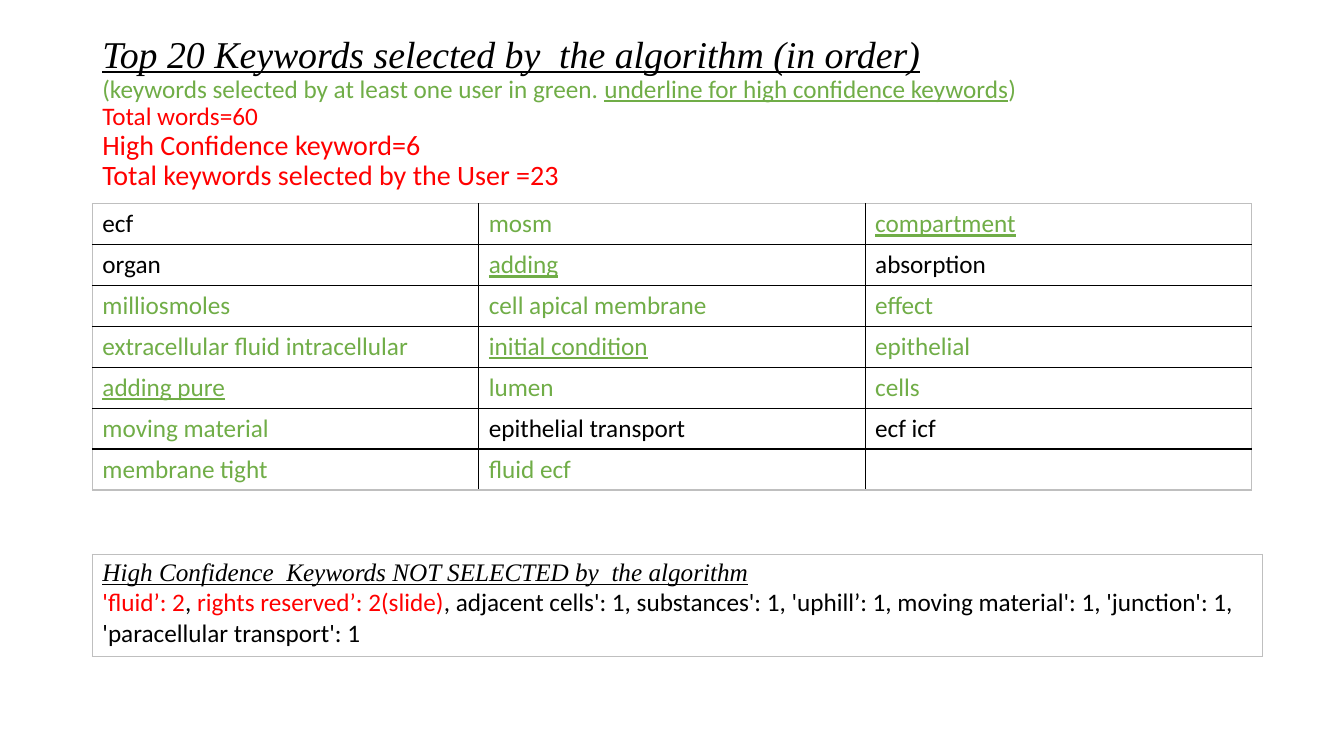
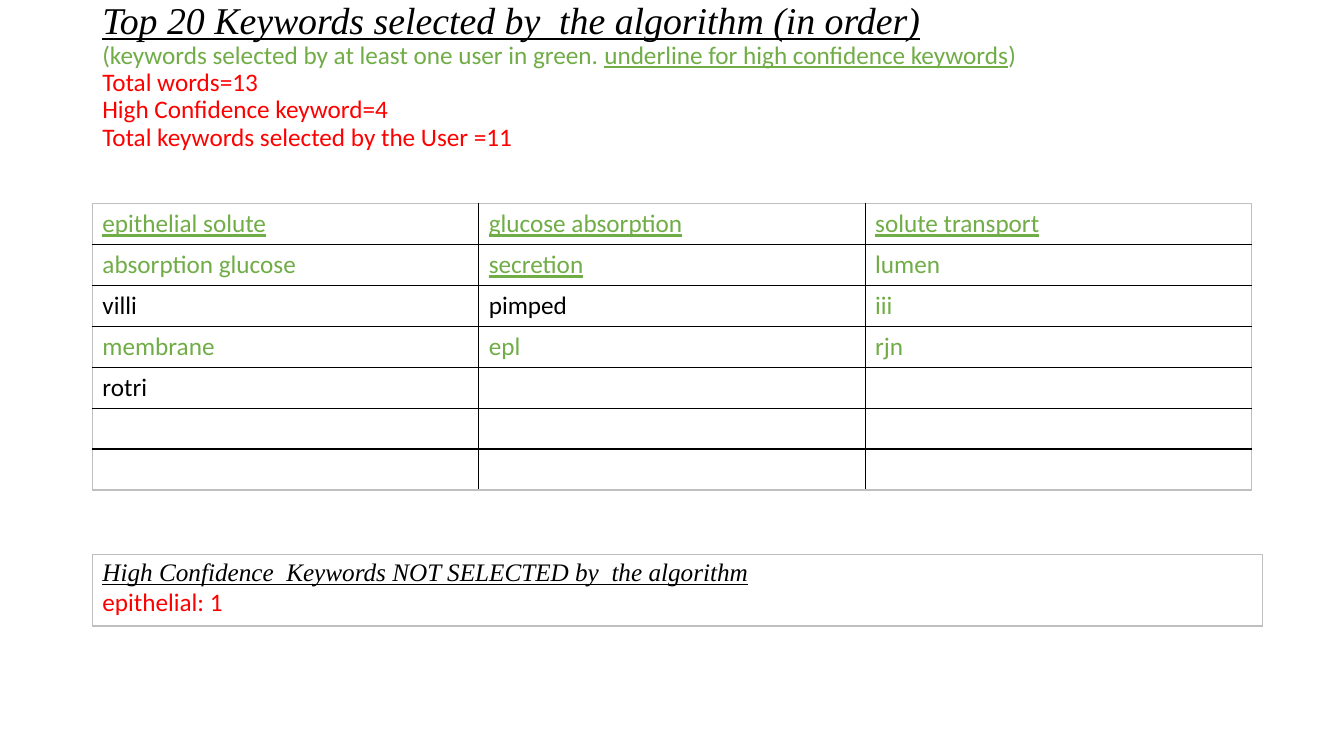
from pptx import Presentation
from pptx.dml.color import RGBColor
from pptx.enum.text import MSO_ANCHOR
from pptx.oxml.ns import qn
from pptx.util import Pt
from lxml import etree

MIDDLE = MSO_ANCHOR.MIDDLE

# Shared style
BLACK, GREEN, RED, GREY = "000000", "70AD47", "FF0000", "BFBFBF"
BODY, SERIF = "Calibri", "Times New Roman"
LEFT, GRID_TOP, NOTE_TOP = 66, 145.6, 396
GRID_W, NOTE_W, TITLE_H = 828, 836, 104.4
ROW_H, LINE_H = 29.2, 22
ROWS, COLS = 7, 3

# Shared wording
HEADING = "Top 20 Keywords selected by  the algorithm (in order)"
LEGEND = "(keywords selected by at least one user in green. "
LEGEND_HIGH = "underline for high confidence keywords"
NOTE_HEADING = "High Confidence  Keywords NOT SELECTED by  the algorithm"

# Keywords are green unless unselected, and underlined if high confidence
SLIDES = [
    dict(
        title_top=28.8,
        counts=[("Total words=60", 18), ("High Confidence keyword=6", 20),
                ("Total keywords selected by the User =23", 20)],
        keywords=["ecf", "mosm", "compartment",
                  "organ", "adding", "absorption",
                  "milliosmoles", "cell apical membrane", "effect",
                  "extracellular fluid intracellular", "initial condition", "epithelial",
                  "adding pure", "lumen", "cells",
                  "moving material", "epithelial transport", "ecf icf",
                  "membrane tight", "fluid ecf"],
        unselected={"ecf", "organ", "absorption", "epithelial transport", "ecf icf"},
        high={"compartment", "adding", "initial condition", "adding pure"},
        missed=[("'fluid’: 2", RED), (", ", BLACK), ("rights reserved’: 2(slide)", RED),
                (", adjacent cells': 1, substances': 1, 'uphill’: 1, moving material': 1, "
                 "'junction': 1, 'paracellular transport': 1", BLACK)],
        note_lines=3,
    ),
    dict(
        title_top=2.6,
        counts=[("Total words=13", 18), ("High Confidence keyword=4", 18),
                ("Total keywords selected by the User =11", 18)],
        keywords=["epithelial solute", "glucose absorption", "solute transport",
                  "absorption glucose", "secretion", "lumen",
                  "villi", "pimped", "iii",
                  "membrane", "epl", "rjn",
                  "rotri"],
        unselected={"villi", "pimped", "rotri"},
        high={"epithelial solute", "glucose absorption", "solute transport", "secretion"},
        missed=[("epithelial: 1", RED)],
        note_lines=2,
    ),
]


def rgb(color):
    return RGBColor.from_string(color)


def add_run(p, text, color=BLACK, size=18, underline=False):
    r = p.add_run()
    r.text = text
    r.font.name, r.font.size = BODY, Pt(size)
    r.font.color.rgb = rgb(color)
    r.font.underline = underline
    return r


def add_heading(p, text, size):
    r = add_run(p, text, size=size, underline=True)
    r.font.name, r.font.italic = SERIF, True


def add_title(s, top, counts):
    sp = s.shapes.add_textbox(Pt(LEFT), Pt(top), Pt(GRID_W), Pt(TITLE_H))
    tf = sp.text_frame
    tf.word_wrap, tf.vertical_anchor = True, MIDDLE
    add_heading(tf.paragraphs[0], HEADING, 27)
    p = tf.add_paragraph()
    add_run(p, LEGEND, GREEN)
    add_run(p, LEGEND_HIGH, GREEN, underline=True)
    add_run(p, ")", GREEN)
    for text, size in counts:
        add_run(tf.add_paragraph(), text, RED, size)
    for p in tf.paragraphs:
        p.line_spacing = 0.9


def set_border(cell, side, color):
    ln = etree.SubElement(cell._tc.get_or_add_tcPr(), qn("a:" + side), w=str(Pt(1)))
    fill = etree.SubElement(ln, qn("a:solidFill"))
    etree.SubElement(fill, qn("a:srgbClr"), val=color)


def add_table(s, top, rows, cols, width, row_h):
    """Unfilled table with black inner lines and a grey frame."""
    table = s.shapes.add_table(rows, cols, Pt(LEFT), Pt(top), Pt(width),
                               Pt(rows * row_h)).table
    table.first_row = table.horz_banding = False
    for i, row in enumerate(table.rows):
        row.height = Pt(row_h)
        for j, cell in enumerate(row.cells):
            on_frame = {"lnL": j == 0, "lnR": j == cols - 1,
                        "lnT": i == 0, "lnB": i == rows - 1}
            for side, outer in on_frame.items():
                set_border(cell, side, GREY if outer else BLACK)
            cell.fill.background()
    return table


def add_keywords(s, keywords, unselected, high):
    table = add_table(s, GRID_TOP, ROWS, COLS, GRID_W, ROW_H)
    for cell, word in zip(table.iter_cells(), keywords):
        add_run(cell.text_frame.paragraphs[0], word,
                BLACK if word in unselected else GREEN, underline=word in high)


def add_note(s, missed, lines):
    table = add_table(s, NOTE_TOP, 1, 1, NOTE_W, lines * LINE_H + 7.2)
    tf = table.cell(0, 0).text_frame
    add_heading(tf.paragraphs[0], NOTE_HEADING, 18)
    p = tf.add_paragraph()
    for text, color in missed:
        add_run(p, text, color)


def main():
    prs = Presentation()
    prs.slide_width, prs.slide_height = Pt(960), Pt(540)
    for data in SLIDES:
        s = prs.slides.add_slide(prs.slide_layouts[6])
        add_title(s, data["title_top"], data["counts"])
        add_keywords(s, data["keywords"], data["unselected"], data["high"])
        add_note(s, data["missed"], data["note_lines"])
    prs.save("out.pptx")


if __name__ == "__main__":
    main()
